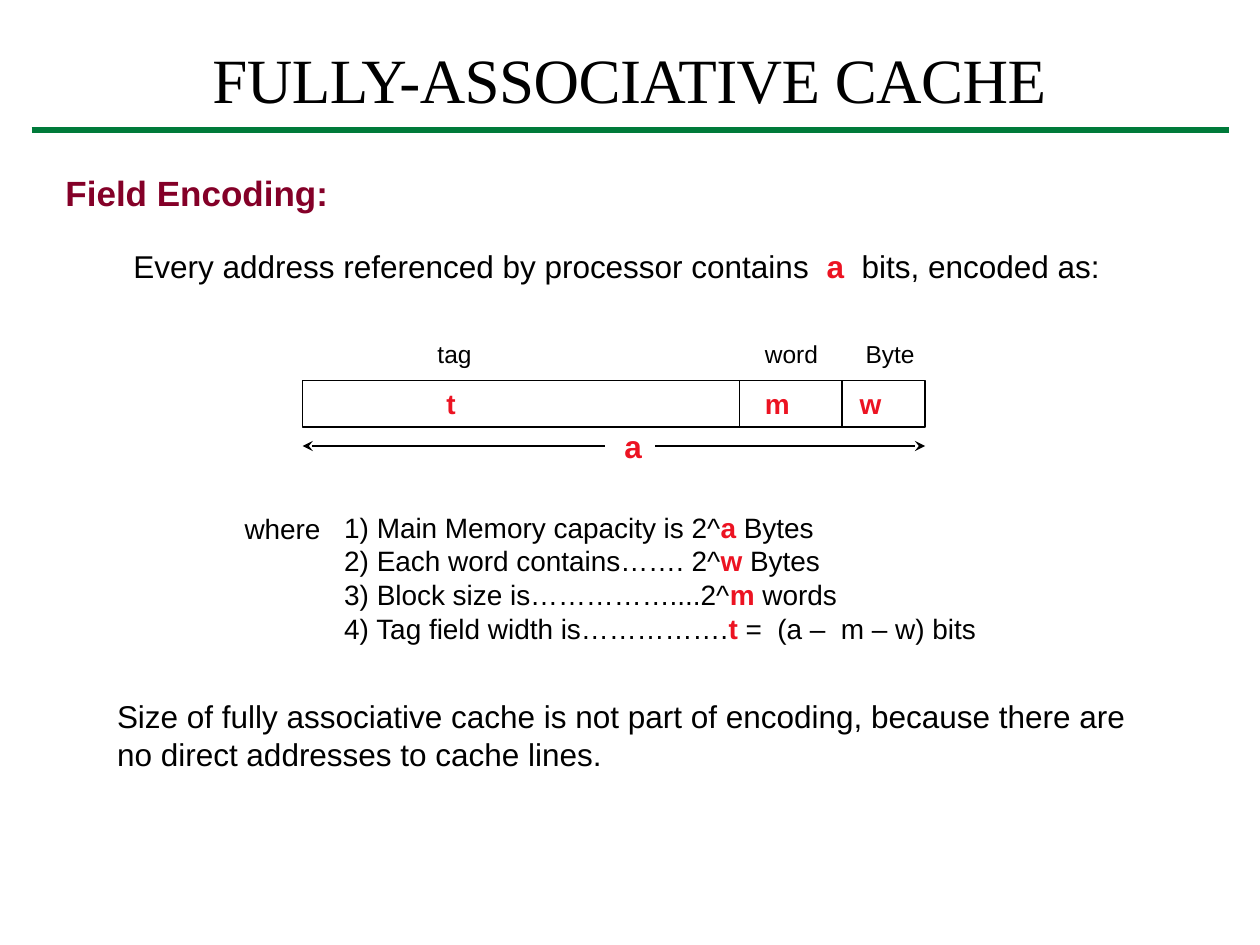
from lxml.etree import SubElement
from pptx import Presentation
from pptx.dml.color import RGBColor
from pptx.enum.shapes import MSO_CONNECTOR as Link, MSO_SHAPE as Shape
from pptx.enum.text import PP_ALIGN as Align
from pptx.oxml.ns import qn
from pptx.util import Cm, Pt

BLACK, RED, WINE, GREEN = "000000", "EC1322", "840028", "007A3A"
WIDE, SLIM = (0.25, 0.13), (0.18, 0.08)


def paint(code):
    return RGBColor.from_string(code)


class Page:
    """Holds the style and the current slide; all lengths are in cm."""

    def __init__(self, slide, face="Arial"):
        self.shapes = slide.shapes
        self.face = face

    def fill(self, frame, lines, size, color=BLACK, bold=False, face=None,
             pad=WIDE, indent=0, tabs=()):
        """Fill a frame; words between asterisks become bold and red."""
        frame.word_wrap = True
        frame.margin_left = frame.margin_right = Cm(pad[0])
        frame.margin_top = frame.margin_bottom = Cm(pad[1])
        for i, line in enumerate(lines):
            para = frame.add_paragraph() if i else frame.paragraphs[0]
            para.alignment = Align.LEFT
            props = para._p.get_or_add_pPr()
            if indent:
                props.set("marL", str(Cm(indent)))
            if tabs:
                stops = SubElement(props, qn("a:tabLst"))
                for tab in tabs:
                    SubElement(stops, qn("a:tab"), pos=str(Cm(tab)), algn="l")
            para.font.name = face or self.face
            para.font.size = Pt(size)
            for j, part in enumerate(line.split("*")):
                if part:
                    run = para.add_run()
                    run.text = part
                    run.font.bold = bold or j % 2 == 1
                    run.font.color.rgb = paint(RED if j % 2 else color)
        return frame.paragraphs[0]

    def text(self, x, y, w, h, *lines, **style):
        box = self.shapes.add_textbox(Cm(x), Cm(y), Cm(w), Cm(h))
        return self.fill(box.text_frame, lines, **style)

    def rect(self, x, y, w, h, *lines, **style):
        box = self.shapes.add_shape(Shape.RECTANGLE, Cm(x), Cm(y), Cm(w), Cm(h))
        box.shadow.inherit = False
        box.fill.background()
        box.line.color.rgb = paint(BLACK)
        box.line.width = Pt(1)
        self.fill(box.text_frame, lines, **style)

    def line(self, x1, y1, x2, y2, color=BLACK, width=1, arrow=False):
        link = self.shapes.add_connector(
            Link.STRAIGHT, Cm(x1), Cm(y1), Cm(x2), Cm(y2))
        link.line.color.rgb = paint(color)
        link.line.width = Pt(width)
        if arrow:
            SubElement(link.line._get_or_add_ln(), qn("a:tailEnd"), type="stealth")
        SubElement(link._element.spPr, qn("a:effectLst"))


def main():
    deck = Presentation()
    deck.slide_width, deck.slide_height = Cm(25.4), Cm(19.05)
    page = Page(deck.slides.add_slide(deck.slide_layouts[6]))

    title = page.text(0.46, 0.86, 24.46, 2.16, "FULLY-ASSOCIATIVE CACHE",
                      size=36, face="Times New Roman")
    title.alignment = Align.CENTER
    title.line_spacing = 0.9
    title.runs[0]._r.get_or_add_rPr().set("spc", "-30")
    page.line(0.64, 2.62, 24.77, 2.62, GREEN, 3)

    page.text(1.07, 3.33, 5.87, 1.12, "Field Encoding:",
              size=20, color=WINE, bold=True)
    page.text(1.14, 4.9, 22.2, 0.91,
              "Every address referenced by processor contains  *a*  bits, encoded as:",
              size=18, pad=SLIM, indent=1.37)

    # Address fields
    left, top, wide, high = 6.1, 7.67, 12.55, 0.94
    page.text(6.93, 6.71, 12.55, 0.86, "\ttag\tword\tByte",
              size=14, tabs=(1.64, 8.24, 10.27))
    page.rect(left, top, wide, high, "\tt\tm\tw",
              size=16, color=RED, bold=True, tabs=(2.65, 9.07, 10.98))
    for x in (14.91, 16.97):
        page.line(x, top, x, top + high)
    page.text(12.34, 8.48, 0.86, 1.02, "*a*", size=18)
    for start, end in ((13.21, left + wide), (12.19, left)):
        page.line(start, 8.99, end, 8.99, arrow=True)

    page.text(4.75, 10.24, 2.06, 0.84, "where", size=16, pad=SLIM)
    page.text(6.76, 10.21, 14.91, 3.33,
              "1) Main Memory capacity is 2^*a* Bytes",
              "2) Each word contains……. 2^*w* Bytes",
              "3) Block size is……………....2^*m* words",
              "4) Tag field width is…………….*t *=  (a –  m – w) bits",
              size=16, pad=SLIM)
    page.text(2.11, 13.92, 21.21, 1.8,
              "Size of fully associative cache is not part of encoding, because "
              "there are no direct addresses to cache lines.", size=18)

    deck.save("out.pptx")


if __name__ == "__main__":
    main()
